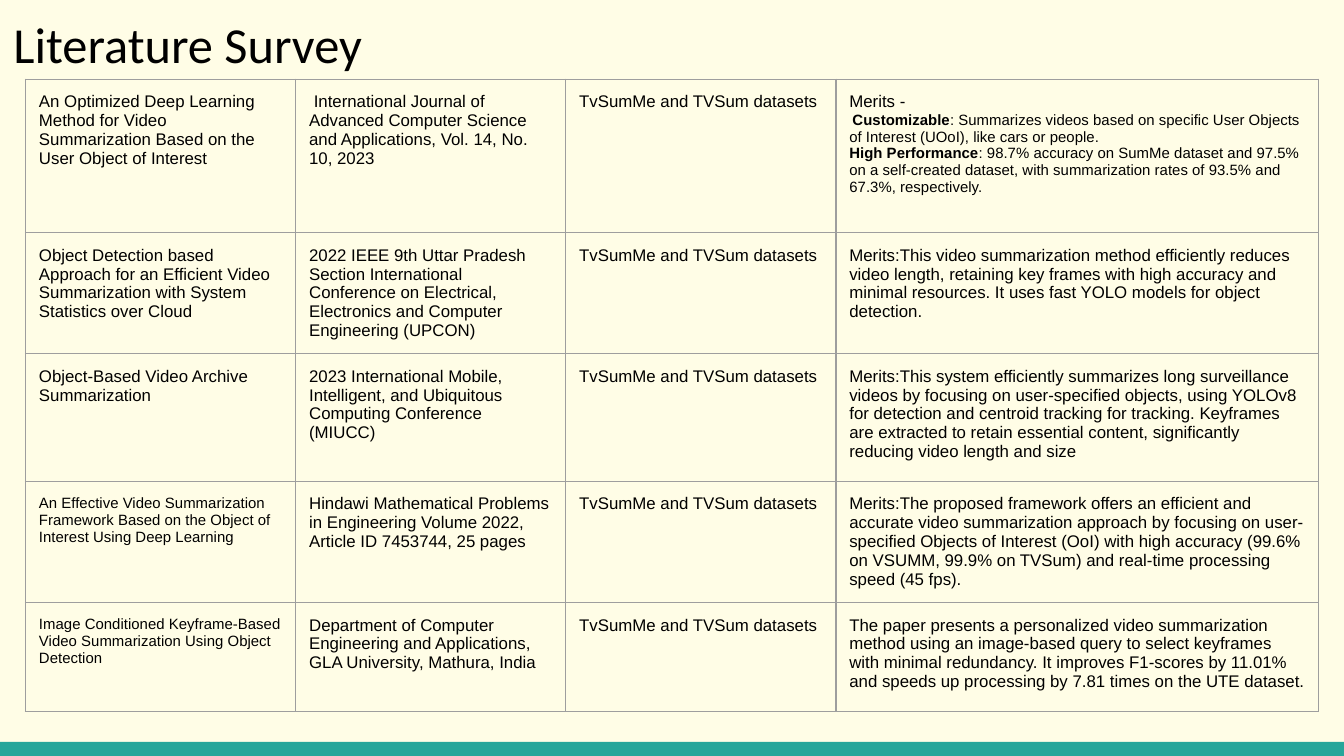
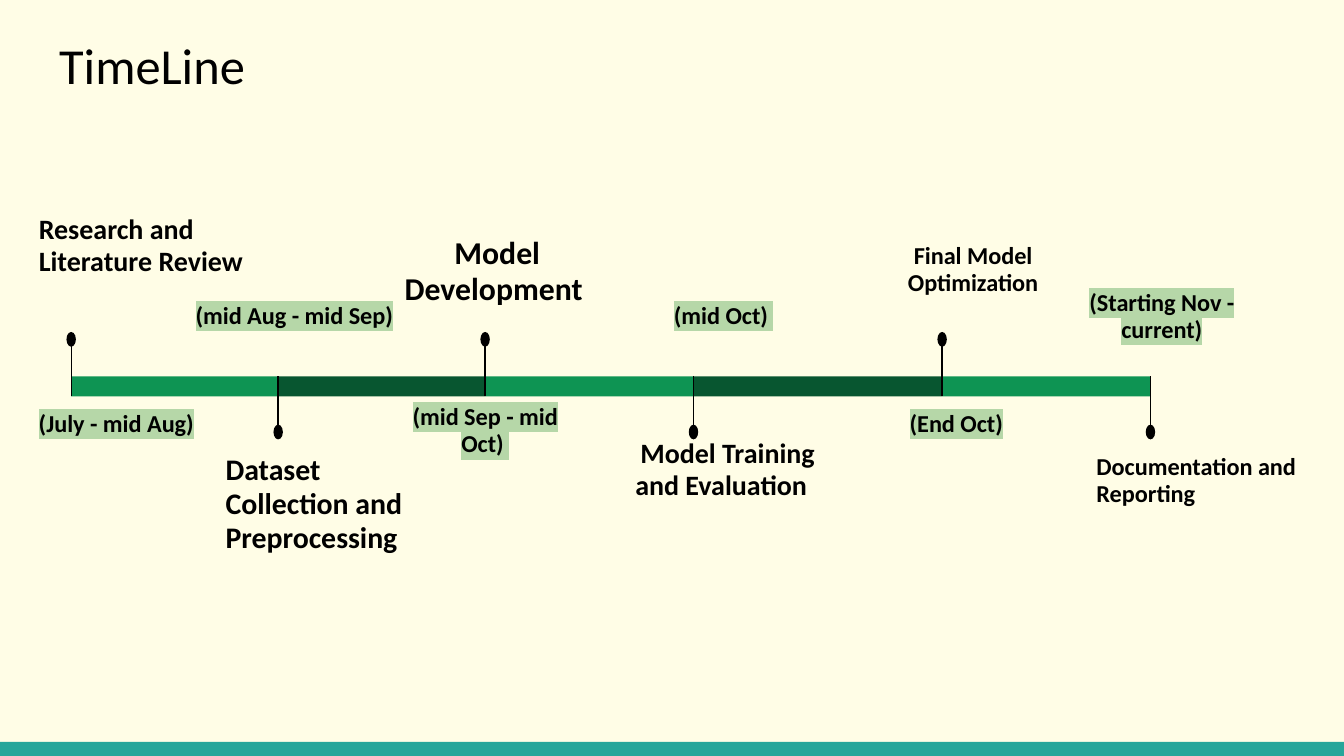
from lxml.etree import SubElement
from pptx import Presentation
from pptx.dml.color import RGBColor
from pptx.enum.shapes import MSO_CONNECTOR as CONNECTOR, MSO_SHAPE as SHAPE
from pptx.enum.text import MSO_ANCHOR as ANCHOR, MSO_AUTO_SIZE as AUTO_SIZE, PP_ALIGN as ALIGN
from pptx.oxml.ns import qn
from pptx.util import Inches, Pt

CREAM = RGBColor(0xFF, 0xFD, 0xE6)
TEAL = RGBColor(0x26, 0xA6, 0x9A)
BLACK = RGBColor(0x00, 0x00, 0x00)
GRAY = RGBColor(0x9E, 0x9E, 0x9E)
GREEN = RGBColor(0x0E, 0x94, 0x53)
DARK_GREEN = RGBColor(0x08, 0x56, 0x30)
PALE_GREEN = RGBColor(0xB6, 0xD7, 0xA8)


def add_run(para, text, size, font, bold=False, highlight=None):
    span = para.add_run()
    span.text = text
    span.font.size = Pt(size)
    span.font.bold = bold
    span.font.color.rgb = BLACK
    if highlight is not None:
        mark = SubElement(span.font._element, qn("a:highlight"))
        SubElement(mark, qn("a:srgbClr"), val=str(highlight))
    span.font.name = font


def add_block(shapes, kind, left, top, width, height, color):
    block = shapes.add_shape(kind, Inches(left), Inches(top), Inches(width), Inches(height))
    block.shadow.inherit = False
    block.fill.solid()
    block.fill.fore_color.rgb = color
    block.line.fill.background()


deck = Presentation()
deck.slide_width = Inches(10)
deck.slide_height = deck.slide_width * 9 // 16
master_fill = deck.slide_master.background.fill
master_fill.solid()
master_fill.fore_color.rgb = CREAM

pages = []
for heading, left, top in [("Literature Survey", 0, 0), ("TimeLine", 0.34, 0.15)]:
    page = deck.slides.add_slide(deck.slide_layouts[5])
    add_block(page.shapes, SHAPE.RECTANGLE, 0, 5.52, 10, 0.11, TEAL)
    title = page.shapes.title
    title.left, title.top = Inches(left), Inches(top)
    title.width, title.height = Inches(9.32), Inches(0.67)
    frame = title.text_frame
    frame.auto_size = AUTO_SIZE.NONE
    frame.word_wrap = True
    frame.vertical_anchor = ANCHOR.TOP
    frame.margin_left = frame.margin_right = Inches(0.1)
    frame.margin_top = frame.margin_bottom = Inches(0.1)
    frame.paragraphs[0].alignment = ALIGN.LEFT
    add_run(frame.paragraphs[0], heading, 27, "Calibri")
    pages.append(page)

survey_page, timeline_page = pages

DATASETS = "TvSumMe and TVSum datasets"
papers = [
    ("An Optimized Deep Learning Method for Video Summarization Based on the User Object of Interest", 9,
     " International Journal of Advanced Computer Science and Applications, Vol. 14, No. 10, 2023",
     [[("Merits -", 9, False)],
      [(" ", 6, False), ("Customizable", 8, True),
       (": Summarizes videos based on specific User Objects of Interest (UOoI), like cars or people.", 8, False)],
      [("High Performance", 8, True),
       (": 98.7% accuracy on SumMe dataset and 97.5% on a self-created dataset, "
        "with summarization rates of 93.5% and 67.3%, respectively.", 8, False)]]),
    ("Object Detection based Approach for an Efficient Video Summarization with System Statistics over Cloud", 9,
     "2022 IEEE 9th Uttar Pradesh Section International Conference on Electrical, "
     "Electronics and Computer Engineering (UPCON)",
     [[("Merits:This video summarization method efficiently reduces video length, retaining key frames "
        "with high accuracy and minimal resources. It uses fast YOLO models for object detection.", 9, False)]]),
    ("Object-Based Video Archive Summarization", 9,
     "2023 International Mobile, Intelligent, and Ubiquitous Computing Conference (MIUCC)",
     [[("Merits:This system efficiently summarizes long surveillance videos by focusing on user-specified "
        "objects, using YOLOv8 for detection and centroid tracking for tracking. Keyframes are extracted "
        "to retain essential content, significantly reducing video length and size", 9, False)]]),
    ("An Effective Video Summarization Framework Based on the Object of Interest Using Deep Learning", 8,
     "Hindawi Mathematical Problems in Engineering Volume 2022, Article ID 7453744, 25 pages",
     [[("Merits:The proposed framework offers an efficient and accurate video summarization approach by "
        "focusing on user-specified Objects of Interest (OoI) with high accuracy (99.6% on VSUMM, 99.9% on "
        "TVSum) and real-time processing speed (45 fps).", 9, False)]]),
    ("Image Conditioned Keyframe-Based Video Summarization Using Object Detection", 8,
     "Department of Computer Engineering and Applications, GLA University, Mathura, India",
     [[("The paper presents a personalized video summarization method using an image-based query to select "
        "keyframes with minimal redundancy. It improves F1-scores by 11.01% and speeds up processing by "
        "7.81 times on the UTE dataset.", 9, False)]]),
]
column_widths = [2.01, 2.01, 2.01, 3.59]
row_heights = [1.14, 0.84, 0.95, 0.9, 0.81]
table = survey_page.shapes.add_table(
    len(papers), len(column_widths), Inches(0.19), Inches(0.59),
    Inches(sum(column_widths)), Inches(sum(row_heights))).table
table.first_row = False
table.horz_banding = False
for column, width in zip(table.columns, column_widths):
    column.width = Inches(width)
for row, height, (name, name_size, venue, merits) in zip(table.rows, row_heights, papers):
    row.height = Inches(height)
    contents = [[[(name, name_size, False)]], [[(venue, 9, False)]], [[(DATASETS, 9, False)]], merits]
    for cell, paragraphs in zip(row.cells, contents):
        cell.margin_left = cell.margin_right = Inches(0.1)
        cell.margin_top = cell.margin_bottom = Inches(0.1)
        properties = cell._tc.get_or_add_tcPr()
        for side in ("a:lnL", "a:lnR", "a:lnT", "a:lnB"):
            border = SubElement(properties, qn(side), w=str(Pt(0.75)))
            border_fill = SubElement(border, qn("a:solidFill"))
            SubElement(border_fill, qn("a:srgbClr"), val=str(GRAY))
        cell.fill.background()
        for index, spans in enumerate(paragraphs):
            para = cell.text_frame.add_paragraph() if index else cell.text_frame.paragraphs[0]
            for text, size, bold in spans:
                add_run(para, text, size, "Arial", bold)

BAR_TOP, BAR_HEIGHT = 2.8, 0.15
PIN_WIDTH, PIN_HEIGHT = 0.07, 0.11
LABEL_WIDTH = 1.78
starts = [0.53, 2.07, 3.61, 5.16, 7.01, 8.56]
stages = [
    ("Research and Literature Review", 15, ALIGN.LEFT, 0.19, 1.49, 1.09,
     "(July - mid Aug)", "", ALIGN.LEFT, 0.19, 2.95, 1.54),
    ("Dataset Collection and Preprocessing", 16, ALIGN.LEFT, 1.58, 3.27, 1.09,
     "(mid Aug - mid Sep)", "", ALIGN.CENTER, 1.21, 2.15, 1.96),
    ("Model Development ", 17, ALIGN.CENTER, 2.81, 1.65, 0.5,
     "(mid Sep - mid Oct)", " ", ALIGN.CENTER, 2.9, 2.9, 1.42),
    (" Model Training and Evaluation ", 15, ALIGN.CENTER, 4.5, 3.16, 1.09,
     "(mid Oct)", " ", ALIGN.CENTER, 4.87, 2.15, 1.03),
    ("Final Model Optimization", 13, ALIGN.CENTER, 6.35, 1.7, 1.09,
     "(End Oct)", "", ALIGN.LEFT, 6.67, 2.95, 1.45),
    ("Documentation and Reporting", 13, ALIGN.LEFT, 8.06, 3.27, 1.09,
     "(Starting Nov - current)", "", ALIGN.CENTER, 7.78, 2.05, 1.73),
]
for index, (start, stage) in enumerate(zip(starts, stages)):
    (label, label_size, label_align, label_left, label_top, label_height,
     dates, tail, dates_align, dates_left, dates_top, dates_width) = stage
    shapes = timeline_page.shapes.add_group_shape().shapes
    if index + 1 < len(starts):
        color = DARK_GREEN if index % 2 else GREEN
        add_block(shapes, SHAPE.RECTANGLE, start, BAR_TOP, starts[index + 1] - start, BAR_HEIGHT, color)

    if index % 2:
        pin_top, stem_from, stem_to = 3.16, 3.21, BAR_TOP
    else:
        pin_top, stem_from, stem_to = 2.47, 2.53, BAR_TOP + BAR_HEIGHT
    stem = shapes.add_connector(
        CONNECTOR.STRAIGHT, Inches(start), Inches(stem_from), Inches(start), Inches(stem_to))
    stem.line.color.rgb = BLACK
    stem.line.width = Pt(0.75)
    SubElement(stem._element.spPr, qn("a:effectLst"))
    add_block(shapes, SHAPE.OVAL, start - PIN_WIDTH / 2, pin_top, PIN_WIDTH, PIN_HEIGHT, BLACK)

    texts = [
        (label_left, label_top, LABEL_WIDTH, label_height, label_align, [(label, label_size, True, None)]),
        (dates_left, dates_top, dates_width, 0.43, dates_align,
         [(dates, 13, True, PALE_GREEN), (tail, 13, False, PALE_GREEN)]),
    ]
    for left, top, width, height, align, spans in texts:
        box = shapes.add_textbox(Inches(left), Inches(top), Inches(width), Inches(height))
        frame = box.text_frame
        frame.word_wrap = True
        frame.margin_left = frame.margin_right = Inches(0.1)
        frame.margin_top = frame.margin_bottom = Inches(0.1)
        para = frame.paragraphs[0]
        para.alignment = align
        para.line_spacing = 0.95
        for text, size, bold, highlight in spans:
            if text:
                add_run(para, text, size, "Calibri", bold, highlight)

deck.save("out.pptx")
